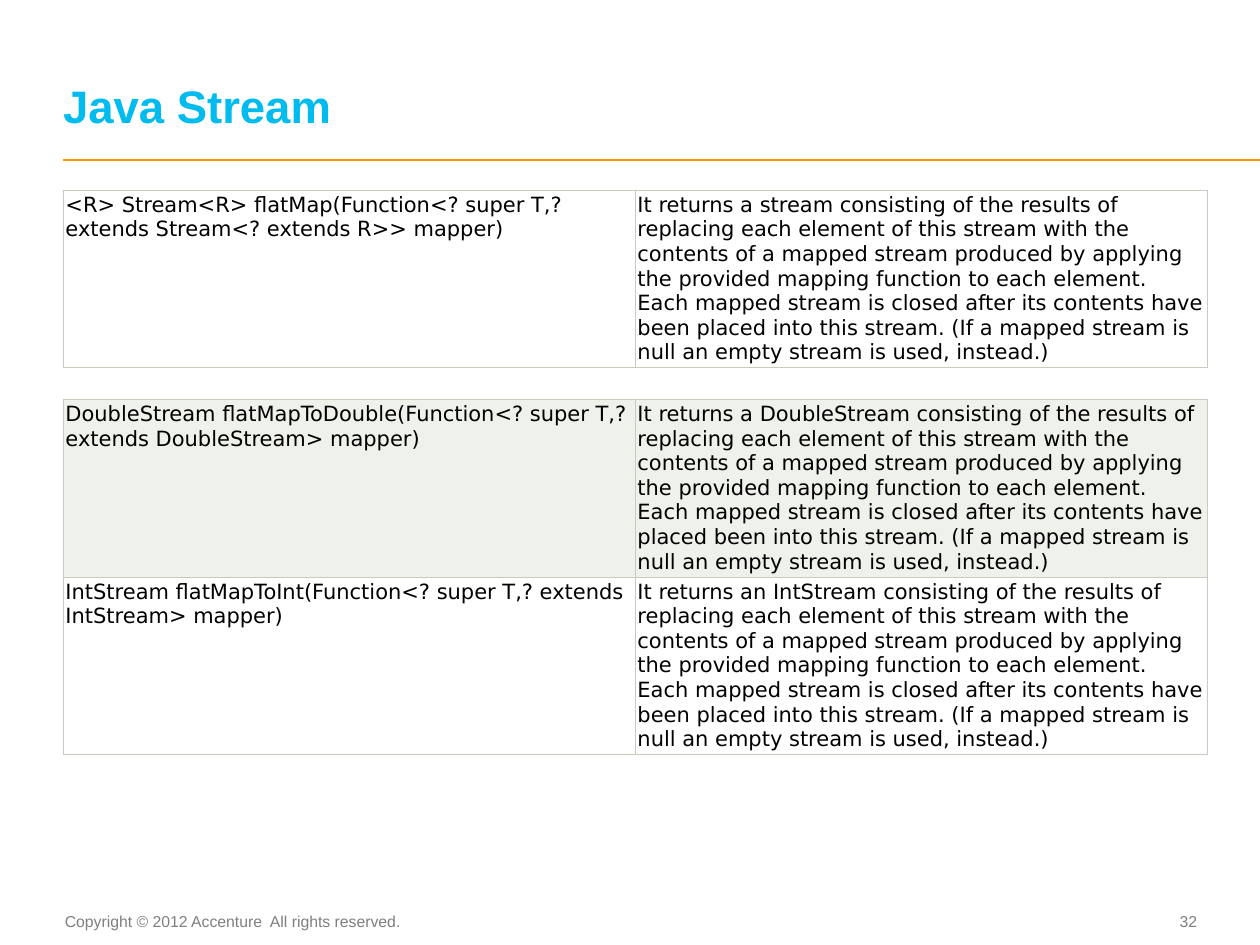
from lxml import etree
from pptx import Presentation
from pptx import util as u
from pptx.dml.color import RGBColor
from pptx.enum import shapes, text
from pptx.oxml import ns

THEME = {
    "title": {"name": "Arial", "size": u.Pt(26), "bold": True, "color": "00BBEE"},
    "footer": {"name": "Arial", "size": u.Pt(9), "bold": False, "color": "7F7F7F"},
    "cell": {"name": "DejaVu Sans", "size": u.Pt(12), "bold": False, "color": "000000"},
    "rule": "FF9900",
    "border": "C7CCBE",
    "plain": "FFFFFF",
    "band": "EFF1EB",
}
LEFT = u.Inches(0.5)
COLUMN_WIDTH = u.Inches(4.54)
ROW_HEIGHT = u.Inches(1.41)
CELL_MARGIN = u.Inches(0.02)

DESCRIPTION = (
    "It returns {result} consisting of the results of replacing each element of this "
    "stream with the contents of a mapped stream produced by applying the provided "
    "mapping function to each element. Each mapped stream is closed after its contents "
    "have {placed} into this stream. (If a mapped stream is null an empty stream is "
    "used, instead.)"
)
# Each table: top in inches, then rows of signature, result, wording and fill
TABLES = [
    (1.51, [
        ("<R> Stream<R> flatMap(Function<? super T,? extends Stream<? extends R>> mapper)",
         "a stream", "been placed", "plain"),
    ]),
    (3.17, [
        ("DoubleStream flatMapToDouble(Function<? super T,? extends DoubleStream> mapper)",
         "a DoubleStream", "placed been", "band"),
        ("IntStream flatMapToInt(Function<? super T,? extends IntStream> mapper)",
         "an IntStream", "been placed", "plain"),
    ]),
]


def write(frame, words, style, **paragraph_format):
    """Fill a text frame with one styled paragraph."""
    para = frame.paragraphs[0]
    for name, value in paragraph_format.items():
        setattr(para, name, value)
    span = para.add_run()
    span.text = words
    for name, value in THEME[style].items():
        if name == "color":
            span.font.color.rgb = RGBColor.from_string(value)
        else:
            setattr(span.font, name, value)


def add_borders(cell):
    properties = cell._tc.get_or_add_tcPr()
    for position, side in enumerate(("lnL", "lnR", "lnT", "lnB")):
        line = etree.Element(ns.qn(f"a:{side}"), w=str(u.Pt(0.6)))
        fill = etree.SubElement(line, ns.qn("a:solidFill"))
        etree.SubElement(fill, ns.qn("a:srgbClr"), val=THEME["border"])
        properties.insert(position, line)


deck = Presentation()
deck.slide_width = u.Inches(10)
deck.slide_height = u.Inches(7.5)
page = deck.slides.add_slide(deck.slide_layouts[5])

# Title and the rule below it
title = page.shapes.title
title_format = {"left": LEFT, "top": u.Inches(0.19),
                "width": u.Inches(8.97), "height": u.Inches(0.86)}
for name, value in title_format.items():
    setattr(title, name, value)
frame_format = {"margin_left": 0, "margin_right": 0, "margin_top": 0, "margin_bottom": 0,
                "vertical_anchor": text.MSO_ANCHOR.BOTTOM,
                "auto_size": text.MSO_AUTO_SIZE.NONE, "word_wrap": True}
for name, value in frame_format.items():
    setattr(title.text_frame, name, value)
write(title.text_frame, "Java Stream", "title",
      alignment=text.PP_ALIGN.LEFT, line_spacing=u.Pt(26))

rule = page.shapes.add_connector(shapes.MSO_CONNECTOR.STRAIGHT, LEFT, u.Inches(1.27),
                                 deck.slide_width, u.Inches(1.27))
rule.line.color.rgb = RGBColor.from_string(THEME["rule"])
rule.line.width = u.Pt(1)
etree.SubElement(rule._element.spPr, ns.qn("a:effectLst"))

# Method tables
for top, methods in TABLES:
    table = page.shapes.add_table(len(methods), 2, LEFT, u.Inches(top), 2 * COLUMN_WIDTH,
                                  len(methods) * ROW_HEIGHT).table
    table.first_row = False
    table.horz_banding = False
    for row, (signature, result, placed, fill) in enumerate(methods):
        description = DESCRIPTION.format(result=result, placed=placed)
        for column, words in enumerate((signature, description)):
            cell = table.cell(row, column)
            for side in ("left", "right", "top", "bottom"):
                setattr(cell, f"margin_{side}", CELL_MARGIN)
            cell.fill.solid()
            cell.fill.fore_color.rgb = RGBColor.from_string(THEME[fill])
            add_borders(cell)
            write(cell.text_frame, words, "cell")

# Footer: copyright line and page number
FOOTERS = [
    ("Copyright © 2012 Accenture  All rights reserved.", (0.49, 7.19, 2.81, 0.25),
     text.PP_ALIGN.CENTER,
     {"margin_left": 0, "margin_right": u.Inches(0.1), "margin_top": u.Inches(0.05),
      "margin_bottom": u.Inches(0.05), "word_wrap": False,
      "auto_size": text.MSO_AUTO_SIZE.SHAPE_TO_FIT_TEXT}),
    ("32", (8.91, 7.18, 0.59, 0.27), text.PP_ALIGN.RIGHT,
     {"margin_left": 0, "margin_right": 0, "margin_top": 0, "margin_bottom": 0,
      "word_wrap": True, "vertical_anchor": text.MSO_ANCHOR.MIDDLE}),
]
for words, place, alignment, box_format in FOOTERS:
    box = page.shapes.add_textbox(*map(u.Inches, place))
    for name, value in box_format.items():
        setattr(box.text_frame, name, value)
    write(box.text_frame, words, "footer", alignment=alignment)

deck.save("out.pptx")
